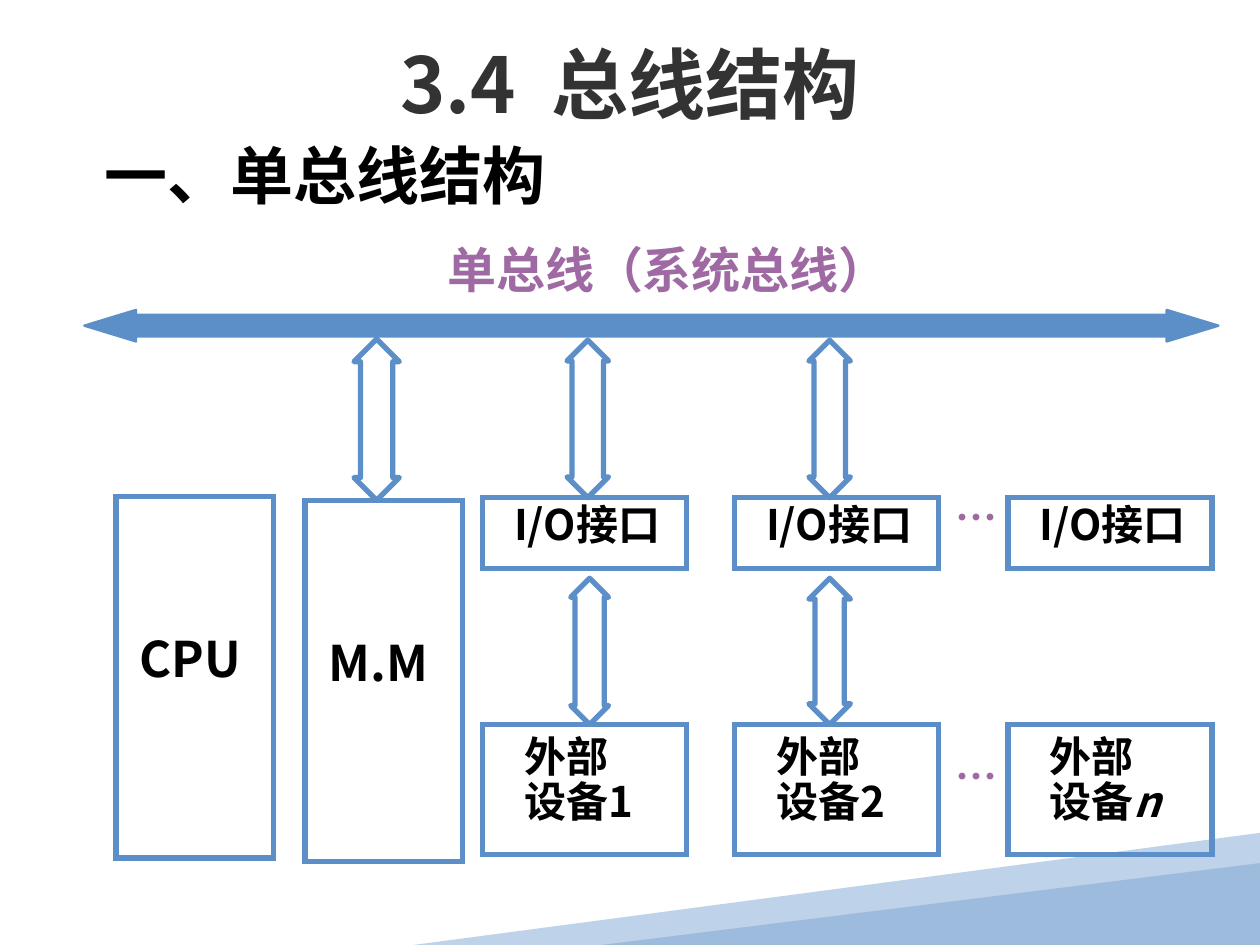
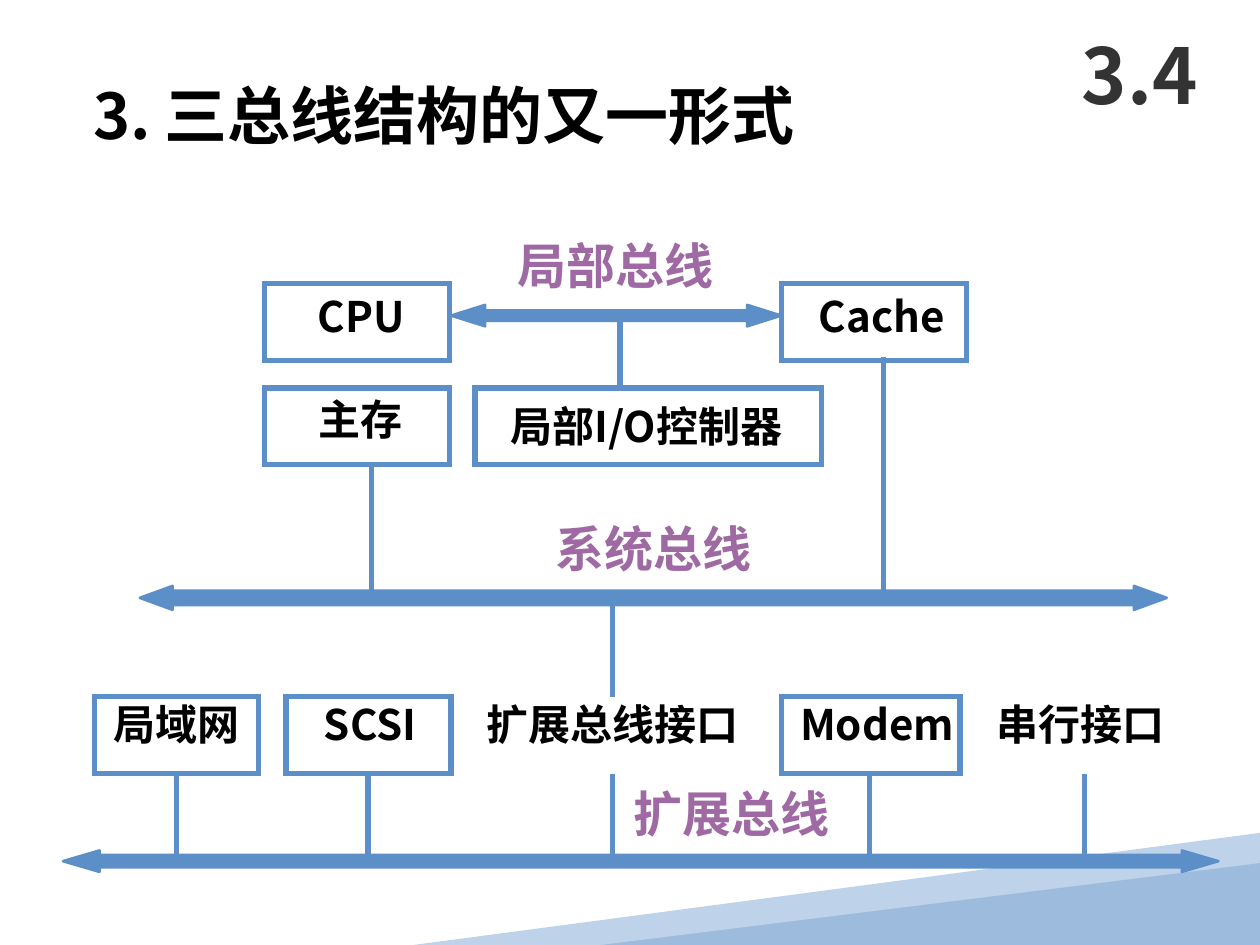
from lxml import etree
from pptx import Presentation
from pptx.dml.color import RGBColor
from pptx.enum import shapes, text
from pptx.oxml.ns import qn
from pptx.util import Inches, Pt

FONT = "Noto Sans CJK SC"
COLORS = {
    "black": "000000",
    "title": "333333",
    "bus": "5C8FC7",
    "bus_name": "9F69A3",
    "band_light": "BED2E9",
    "band_dark": "9DBCDD",
}
RGB = {name: RGBColor.from_string(value) for name, value in COLORS.items()}
SHAPE = shapes.MSO_SHAPE


def write(slide, at, lines, size, color="black", inset=(0, 0), frame=None, centred=False):
    """Write lines, each a list of (text, italic) runs or a string, in a frame or a new text box."""
    holder = frame or slide.shapes.add_textbox(*map(Inches, at))
    body = holder.text_frame
    body.word_wrap = True
    body.vertical_anchor = text.MSO_ANCHOR.MIDDLE if centred else text.MSO_ANCHOR.TOP
    body.margin_left, body.margin_top = map(Inches, inset)
    body.margin_right = body.margin_bottom = 0
    for number, line in enumerate(lines):
        paragraph = body.add_paragraph() if number else body.paragraphs[0]
        paragraph.alignment = text.PP_ALIGN.CENTER if centred else text.PP_ALIGN.LEFT
        paragraph.line_spacing = 0.9
        for words, italic in [(line, False)] if isinstance(line, str) else line:
            run = paragraph.add_run()
            run.text = words
            run.font.size = Pt(size)
            run.font.bold = True
            run.font.italic = italic
            run.font.color.rgb = RGB[color]
            run.font.name = FONT
            etree.SubElement(run.font._element, qn("a:ea"), typeface=FONT)
    return body


def draw(slide, kind, at, fill=None, width=3, adjust=()):
    """Draw a preset shape with a bus-coloured outline; width 0 leaves the outline out."""
    shape = slide.shapes.add_shape(kind, *map(Inches, at))
    shape.shadow.inherit = False
    for index, value in enumerate(adjust):
        shape.adjustments[index] = value
    if fill:
        shape.fill.solid()
        shape.fill.fore_color.rgb = RGB[fill]
    else:
        shape.fill.background()
    if width:
        shape.line.color.rgb = RGB["bus"]
        shape.line.width = Pt(width)
        if kind == SHAPE.RECTANGLE:
            etree.SubElement(shape.line._ln, qn("a:miter"), lim="800000")
    else:
        shape.line.fill.background()
    return shape


prs = Presentation()
prs.slide_width, prs.slide_height = Inches(10), Inches(7.5)
single_bus, three_buses = [prs.slides.add_slide(prs.slide_layouts[6]) for _ in range(2)]

# Corner bands shared by both slides
for slide in (single_bus, three_buses):
    pen = slide.shapes.build_freeform(Inches(10), Inches(6.61))
    pen.add_line_segments([(Inches(x), Inches(y)) for x, y in [(10, 7.44), (6.73, 7.5), (3.28, 7.5)]])
    light_band = pen.convert_to_shape()
    light_band.shadow.inherit = False
    light_band.fill.solid()
    light_band.fill.fore_color.rgb = RGB["band_light"]
    light_band.line.fill.background()
    draw(slide, SHAPE.ISOSCELES_TRIANGLE, (4.77, 6.85, 5.23, 0.65), "band_dark", 0, [1])

# Slide 1: single bus
title = write(single_bus, (0.75, 0.08, 8.5, 1.25), [[("3.4", False), (" ", False), ("总线结构", False)]],
              44, "title", centred=True)
title.paragraphs[0].runs[1].font._element.set("spc", "1000")  # widens the gap after the number
write(single_bus, (0.73, 1.1, 5.02, 0.7), ["一、单总线结构"], 36, inset=(0.1, 0.05))
write(single_bus, (3.55, 1.95, 3.6, 0.47), ["单总线（系统总线）"], 28, "bus_name")
draw(single_bus, SHAPE.LEFT_RIGHT_ARROW, (0.67, 2.46, 9, 0.25), "bus", 1.39, [0.68, 1.64])

for left, top, name in [(0.92, 3.94, "CPU"), (2.42, 3.97, "M.M")]:
    unit = draw(single_bus, SHAPE.RECTANGLE, (left, top, 1.25, 2.87))
    write(single_bus, None, [name], 28, inset=(0.19, 1.1), frame=unit)

for left, number, italic in [(3.83, "1", False), (5.83, "2", False), (8, "n", True)]:
    interface = draw(single_bus, SHAPE.RECTANGLE, (left, 3.95, 1.62, 0.56))
    write(single_bus, None, ["I/O接口"], 24, inset=(0.25, 0.05), frame=interface)
    device = draw(single_bus, SHAPE.RECTANGLE, (left, 5.75, 1.62, 1.03))
    write(single_bus, None, ["外部", [("设备", False), (number, italic)]], 24,
          inset=(0.33, 0.09), frame=device)

for left, top, width, height in [
    (2.81, 2.69, 0.36, 1.28),
    (4.5, 2.7, 0.33, 1.25),
    (6.42, 2.7, 0.33, 1.25),
    (4.53, 4.59, 0.3, 1.16),
    (6.42, 4.59, 0.33, 1.16),
]:
    head = 0.2 * height
    draw(single_bus, SHAPE.UP_DOWN_ARROW, (left, top, width, height), adjust=[0.5, head / width])

for top in (3.95, 6):
    write(single_bus, (7.58, top, 0.42, 0.4), ["…"], 24, "bus_name")

# Slide 2: three buses
write(three_buses, (0.64, 0.63, 6.2, 0.7), ["3. 三总线结构的又一形式"], 36, inset=(0.1, 0.05))
write(three_buses, (8.42, 0.17, 1.25, 0.92), ["3.4"], 44, "title", centred=True)

for x, top, bottom in [
    (4.92, 2.5, 3.08),
    (2.95, 3.68, 4.76),
    (7.01, 2.83, 4.75),
    (4.86, 4.76, 5.53),
    *[(x, 6.14, 6.84) for x in (1.4, 2.92, 4.86, 6.9, 8.61)],
]:
    link = three_buses.shapes.add_connector(
        shapes.MSO_CONNECTOR.STRAIGHT, Inches(x), Inches(top), Inches(x), Inches(bottom))
    link.line.color.rgb = RGB["bus"]
    link.line.width = Pt(3)
    etree.SubElement(link._element.spPr, qn("a:effectLst"))

# Each bus: place of its arrow, shaft share and head length, then its name and the name's place
for at, shaft, head, name, name_left, name_top in [
    ((3.58, 2.42, 2.62, 0.17), 0.48, 0.27, "局部总线", 4.11, 1.92),
    ((1.11, 4.65, 8.15, 0.19), 0.6, 0.26, "系统总线", 4.41, 4.17),
    ((0.5, 6.75, 9.17, 0.17), 0.58, 0.29, "扩展总线", 5.03, 6.27),
]:
    draw(three_buses, SHAPE.LEFT_RIGHT_ARROW, at, "bus", 1.5, [shaft, head / at[3]])
    write(three_buses, (name_left, name_top, 1.65, 0.47), [name], 28, "bus_name")

for left, top, width, name, inset in [
    (2.1, 2.25, 1.47, "CPU", (0.42, 0.1)),
    (6.2, 2.25, 1.47, "Cache", (0.3, 0.1)),
    (2.1, 3.08, 1.47, "主存", (0.43, 0.09)),
    (3.77, 3.08, 2.75, "局部I/O控制器", (0.28, 0.14)),
    (0.75, 5.53, 1.3, "局域网", (0.15, 0.06)),
    (2.27, 5.53, 1.31, "SCSI", (0.3, 0.06)),
    (6.2, 5.53, 1.42, "Modem", (0.15, 0.06)),
]:
    part = draw(three_buses, SHAPE.RECTANGLE, (left, top, width, 0.61))
    write(three_buses, None, [name], 24, inset=inset, frame=part)

for left, width, name in [(3.86, 2.2, "扩展总线接口"), (7.91, 1.6, "串行接口")]:
    write(three_buses, (left, 5.59, width, 0.4), [name], 24)

prs.save("out.pptx")
